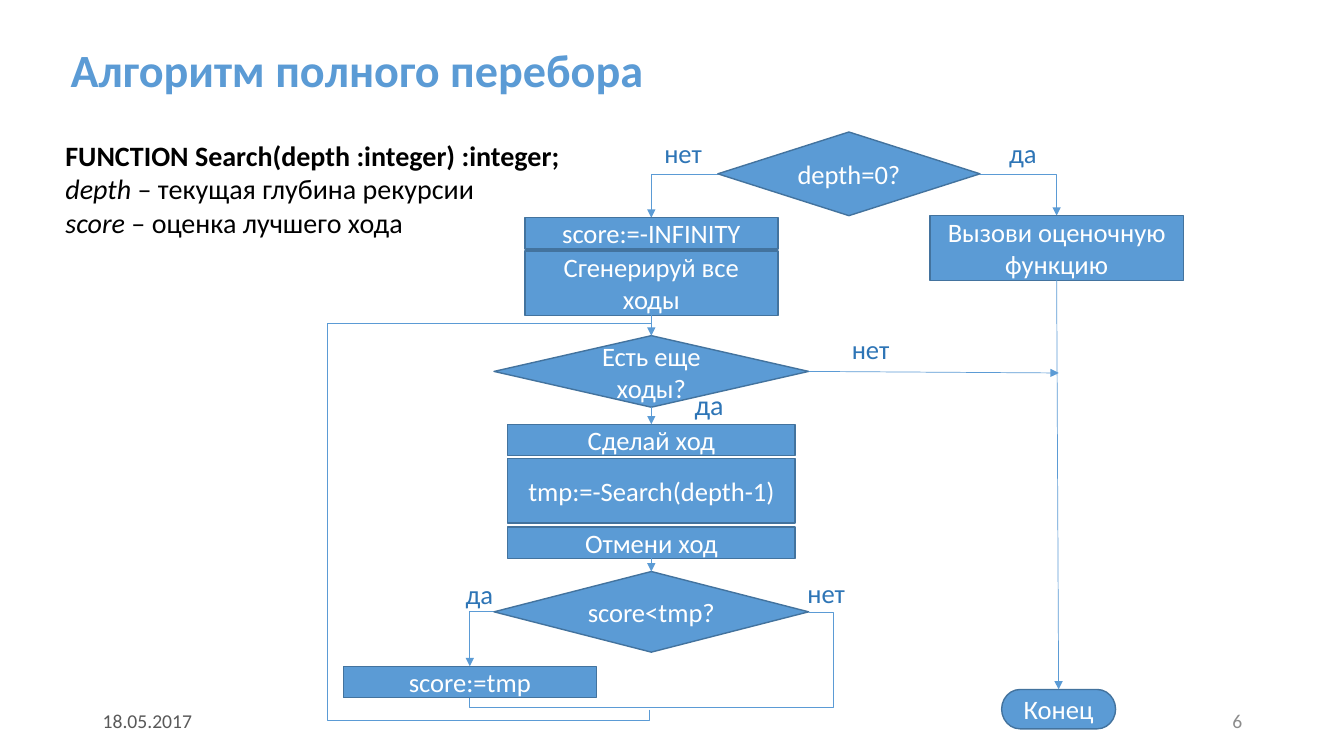
"""Build a flowchart slide that explains the full-search algorithm."""
from lxml import etree
from pptx import Presentation
from pptx.dml.color import RGBColor
from pptx.enum.shapes import MSO_CONNECTOR, MSO_SHAPE
from pptx.enum.text import MSO_ANCHOR, MSO_AUTO_SIZE, PP_ALIGN
from pptx.oxml.ns import qn
from pptx.util import Inches, Pt

STRAIGHT = MSO_CONNECTOR.STRAIGHT
DECISION = MSO_SHAPE.FLOWCHART_DECISION
PROCESS = MSO_SHAPE.FLOWCHART_PROCESS
TERMINATOR = MSO_SHAPE.FLOWCHART_TERMINATOR
MIDDLE, TOP = MSO_ANCHOR.MIDDLE, MSO_ANCHOR.TOP
LEFT, CENTER, RIGHT = PP_ALIGN.LEFT, PP_ALIGN.CENTER, PP_ALIGN.RIGHT
FIXED_SIZE, GROW = MSO_AUTO_SIZE.NONE, MSO_AUTO_SIZE.SHAPE_TO_FIT_TEXT
TOP_SIDE, BOTTOM_SIDE, RIGHT_SIDE = 0, 2, 3

FONT = "Calibri"
COLORS = {"blue": "5B9BD5", "outline": "43739E", "label": "2E75B6", "white": "FFFFFF",
          "black": "000000", "date": "595959", "number": "8C8C8C"}
SLIDE_WIDTH, SLIDE_HEIGHT = 13.33, 7.5

TITLE = "Алгоритм полного перебора"
DESCRIPTION = [
    [("FUNCTION Search(depth :integer) :integer;", True, False)],
    [("depth ", False, True), ("– текущая глубина рекурсии", False, False)],
    [("score", False, True), (" – оценка лучшего хода", False, False)],
]
FOOTERS = [("18.05.2017", 0.92, LEFT, "date"), ("6", 9.42, RIGHT, "number")]

COLUMNS = {"update": 4.66, "main": 6.46, "start": 8.42, "result": 10.48, "end": 10.5}
LOW, HIGH = 0.31, 0.64
NARROW, WIDE, DIAMOND = 2.51, 2.85, 3.12
NODES = {
    "depth": (DECISION, "depth=0?", "start", 1.31, 2.6, 0.83),
    "evaluate": (PROCESS, "Вызови оценочную функцию", "result", 2.14, NARROW, HIGH),
    "more": (DECISION, "Есть еще ходы?", "main", 3.33, DIAMOND, 0.71),
    "better": (DECISION, "score<tmp?", "main", 5.67, DIAMOND, 0.8),
    "end": (TERMINATOR, "Конец", "end", 6.84, 1.13, 0.39),
    "reset": (PROCESS, "score:=-INFINITY", "main", 2.16, NARROW, LOW),
    "generate": (PROCESS, "Сгенерируй все ходы", "main", 2.49, NARROW, HIGH),
    "update": (PROCESS, "score:=tmp", "update", 6.61, NARROW, LOW),
    "make": (PROCESS, "Сделай ход", "main", 4.21, WIDE, LOW),
    "undo": (PROCESS, "Отмени ход", "main", 5.23, WIDE, LOW),
    "recurse": (PROCESS, "tmp:=-Search(depth-1)", "main", 4.55, WIDE, HIGH),
}
LINKS = [("more", "make"), ("undo", "better"), ("generate", "more"), ("evaluate", "end")]
LABELS = [("нет", 6.49, 1.31, 19), ("да", 9.91, 1.31, 19), ("нет", 8.35, 3.25, 19),
          ("да", 6.79, 3.79, 20), ("да", 4.52, 5.68, 19), ("нет", 7.91, 5.67, 19)]
LABEL_WIDTHS = {"да": 0.5, "нет": 0.6}
MERGE_Y, LOOP_X, BYPASS_X = 7.02, 3.25, 8.27
LOOP_TOP, LOOP_BOTTOM, LOOP_START = 3.21, 7.15, (6.44, 7.04)


def color(name):
    return RGBColor.from_string(COLORS[name])


def style_run(run, size, color_name, bold=False, italic=False):
    font = run.font
    font.name, font.size = FONT, Pt(size)
    font.bold, font.italic = bold, italic
    font.color.rgb = color(color_name)


def style_line(shape, arrow):
    shape.line.color.rgb = color("blue")
    shape.line.width = Pt(0.5)
    if arrow:
        line = shape.line._get_or_add_ln()
        etree.SubElement(line, qn("a:tailEnd"), type="triangle")


def set_text(shape, text, size, color_name, align=LEFT, anchor=MIDDLE, bold=False):
    frame = shape.text_frame
    frame.text = text
    frame.vertical_anchor = anchor
    paragraph = frame.paragraphs[0]
    paragraph.alignment = align
    style_run(paragraph.runs[0], size, color_name, bold)


def add_text_box(slide, left, top, width, height, wrap=True):
    box = slide.shapes.add_textbox(Inches(left), Inches(top), Inches(width), Inches(height))
    box.text_frame.word_wrap = wrap
    return box


def add_title(slide):
    title = slide.shapes.title
    title.left, title.top = Inches(0.6), Inches(0.13)
    title.width, title.height = Inches(9.37), Inches(1.18)
    set_text(title, TITLE, 33, "blue", bold=True)
    title.text_frame.auto_size = FIXED_SIZE
    title.text_frame.paragraphs[0].line_spacing = 0.9


def add_description(slide):
    frame = add_text_box(slide, 0.55, 1.32, 5.18, 1.45).text_frame
    for index, parts in enumerate(DESCRIPTION):
        paragraph = frame.add_paragraph() if index else frame.paragraphs[0]
        for text, bold, italic in parts:
            run = paragraph.add_run()
            run.text = text
            style_run(run, 20, "black", bold, italic)


def add_node(slide, kind, text, column, top, width, height):
    shape = slide.shapes.add_shape(kind, Inches(COLUMNS[column] - width / 2), Inches(top),
                                   Inches(width), Inches(height))
    shape.shadow.inherit = False
    shape.fill.solid()
    shape.fill.fore_color.rgb = color("blue")
    shape.line.color.rgb = color("outline")
    shape.line.width = Pt(1)
    shape.text_frame.word_wrap = True
    set_text(shape, text, 19, "white", CENTER)
    return shape


def side(name, direction):
    _, _, column, top, width, height = NODES[name]
    across, down = direction
    return COLUMNS[column] + across * width / 2, top + (1 + down) * height / 2


def add_connector(slide, start, end):
    points = [Inches(value) for value in (*start, *end)]
    connector = slide.shapes.add_connector(STRAIGHT, *points)
    style_line(connector, True)
    etree.SubElement(connector._element.spPr, qn("a:effectLst"))
    return connector


def add_route(slide, points, arrow):
    first, *others = [(Inches(x), Inches(y)) for x, y in points]
    builder = slide.shapes.build_freeform(*first)
    builder.add_line_segments(others, close=False)
    route = builder.convert_to_shape()
    route.fill.background()
    style_line(route, arrow)
    route.shadow.inherit = False


def add_routes(slide):
    west, east, north, south = (-1, 0), (1, 0), (0, -1), (0, 1)
    for source, direction, target in (("depth", west, "reset"), ("depth", east, "evaluate"),
                                      ("better", west, "update")):
        start, end = side(source, direction), side(target, north)
        add_route(slide, [start, (end[0], start[1]), end], True)
    start, end = side("better", east), side("update", south)
    add_route(slide, [start, (BYPASS_X, start[1]), (BYPASS_X, MERGE_Y),
                      (end[0], MERGE_Y), end], False)
    end = side("more", north)
    add_route(slide, [LOOP_START, (LOOP_START[0], LOOP_BOTTOM), (LOOP_X, LOOP_BOTTOM),
                      (LOOP_X, LOOP_TOP), (end[0], LOOP_TOP), end], False)


def add_labels(slide):
    for text, left, top, size in LABELS:
        label = add_text_box(slide, left, top, LABEL_WIDTHS[text], 0.42, False)
        set_text(label, text, size, "label", anchor=TOP)
        label.text_frame.auto_size = GROW


def add_flowchart(slide):
    add_routes(slide)
    nodes = {name: add_node(slide, *node) for name, node in NODES.items()}
    for source, target in LINKS:
        connector = add_connector(slide, side(source, (0, 1)), side(target, (0, -1)))
        connector.begin_connect(nodes[source], BOTTOM_SIDE)
        connector.end_connect(nodes[target], TOP_SIDE)
    no_moves = add_connector(slide, side("more", (1, 0)), (COLUMNS["end"], 3.7))
    no_moves.begin_connect(nodes["more"], RIGHT_SIDE)
    add_labels(slide)


def main():
    presentation = Presentation()
    presentation.slide_width = Inches(SLIDE_WIDTH)
    presentation.slide_height = Inches(SLIDE_HEIGHT)
    slide = presentation.slides.add_slide(presentation.slide_layouts.get_by_name("Title Only"))
    add_title(slide)
    for text, left, align, color_name in FOOTERS:
        set_text(add_text_box(slide, left, 6.95, 3, 0.4), text, 14, color_name, align)
    add_description(slide)
    add_flowchart(slide)
    presentation.save("out.pptx")


if __name__ == "__main__":
    main()
